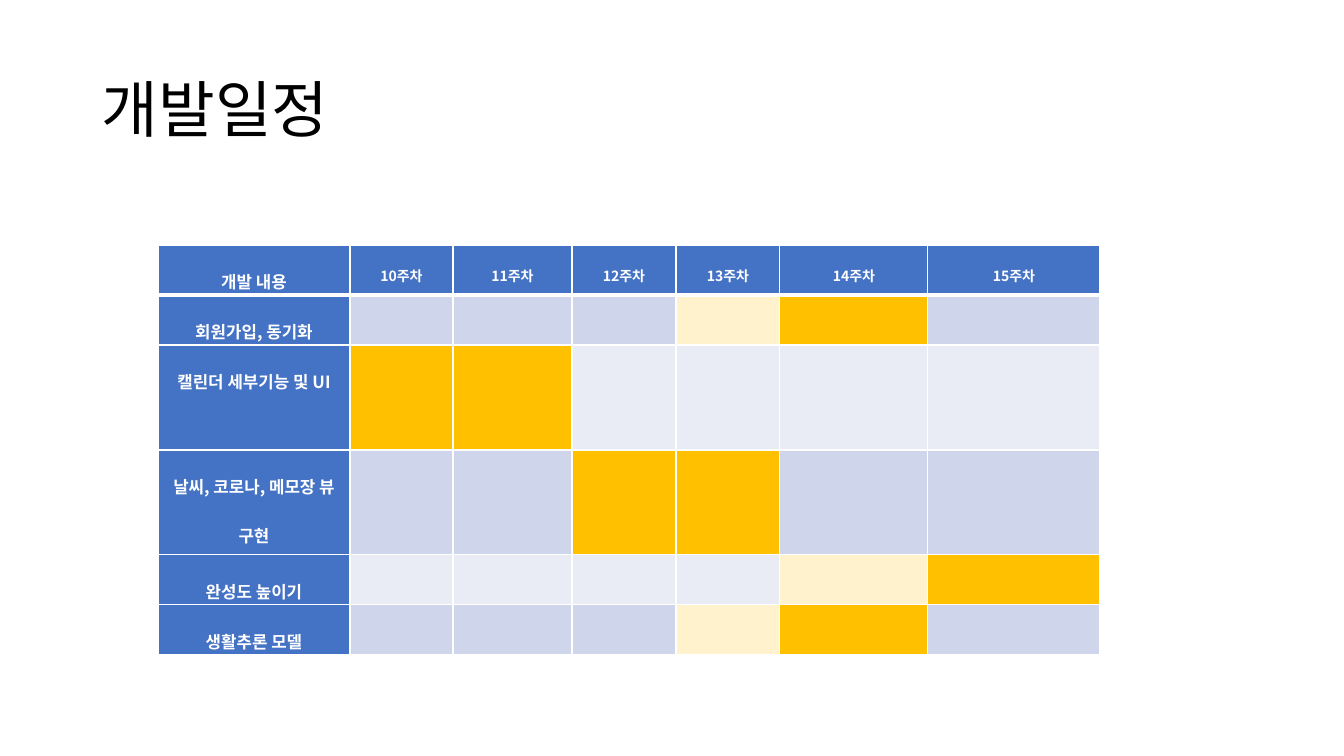
import pptx
import pptx.dml.color
import pptx.enum.text
import pptx.oxml.ns
import pptx.util
from lxml import etree

PIXEL = 914400 / 100.8
FONT = "Noto Sans CJK KR"
BLACK = pptx.dml.color.RGBColor(0x00, 0x00, 0x00)
WHITE = pptx.dml.color.RGBColor(0xFF, 0xFF, 0xFF)
BLUE = pptx.dml.color.RGBColor(0x44, 0x72, 0xC4)
BANDS = [pptx.dml.color.RGBColor(0xCF, 0xD5, 0xEA), pptx.dml.color.RGBColor(0xE9, 0xEB, 0xF5)]
PARTIAL = pptx.dml.color.RGBColor(0xFF, 0xF2, 0xCC)
ACTIVE = pptx.dml.color.RGBColor(0xFF, 0xC0, 0x00)

COLUMN_WIDTHS = [192, 103, 119, 104, 104, 148, 172]
ROW_HEIGHTS = [50, 50, 105, 105, 50, 50]
HEADER = ["개발 내용"] + [f"{week}주차" for week in range(10, 16)]
# Each task has its partial weeks and its active weeks
TASKS = [
    ("회원가입, 동기화", [13], [14]),
    ("캘린더 세부기능 및 UI", [], [10, 11]),
    ("날씨, 코로나, 메모장 뷰 구현", [], [12, 13]),
    ("완성도 높이기", [14], [15]),
    ("생활추론 모델", [13], [14]),
]


def px(length):
    """Turn pixels into EMU."""
    return pptx.util.Emu(round(length * PIXEL))


def write(frame, text, size, color, bold, spacing):
    """Put one styled paragraph into a text frame and return it."""
    para = frame.paragraphs[0]
    para.text = text
    para.line_spacing = spacing
    font = para.font
    font.name, font.size, font.bold = FONT, pptx.util.Pt(size), bold
    font.color.rgb = color
    east_asian = etree.SubElement(font._element, pptx.oxml.ns.qn("a:ea"))
    east_asian.set("typeface", FONT)
    return para


deck = pptx.Presentation()
deck.slide_width, deck.slide_height = px(1344), px(756)
page = deck.slides.add_slide(deck.slide_layouts[6])

title = page.shapes.add_textbox(px(92), px(40), px(1159), px(146))
title.text_frame.word_wrap = True
title.text_frame.vertical_anchor = pptx.enum.text.MSO_ANCHOR.MIDDLE
write(title.text_frame, "개발일정", 44, BLACK, False, 0.9)

schedule = page.shapes.add_table(
    len(ROW_HEIGHTS), len(COLUMN_WIDTHS), px(158), px(245),
    px(sum(COLUMN_WIDTHS)), px(sum(ROW_HEIGHTS))).table
for column, width in zip(schedule.columns, COLUMN_WIDTHS):
    column.width = px(width)
for row, height in zip(schedule.rows, ROW_HEIGHTS):
    row.height = px(height)

for row_index in range(len(ROW_HEIGHTS)):
    for column_index in range(len(COLUMN_WIDTHS)):
        cell = schedule.cell(row_index, column_index)
        properties = cell._tc.get_or_add_tcPr()
        for side in "LRTB":
            header_edge = (row_index, side) in [(0, "B"), (1, "T")]
            border = etree.SubElement(properties, pptx.oxml.ns.qn(f"a:ln{side}"))
            border.set("w", str(pptx.util.Pt(3 if header_edge else 1)))
            paint = etree.SubElement(border, pptx.oxml.ns.qn("a:solidFill"))
            etree.SubElement(paint, pptx.oxml.ns.qn("a:srgbClr")).set("val", str(WHITE))

        text = ""
        color = BLUE
        if row_index == 0:
            text = HEADER[column_index]
        else:
            label, partial_weeks, active_weeks = TASKS[row_index - 1]
            week = column_index + 9
            if column_index == 0:
                text = label
            elif week in active_weeks:
                color = ACTIVE
            elif week in partial_weeks:
                color = PARTIAL
            else:
                color = BANDS[(row_index - 1) % 2]
        cell.fill.solid()
        cell.fill.fore_color.rgb = color
        if text:
            cell.margin_left = cell.margin_right = px(7)
            cell.margin_top = cell.margin_bottom = 0
            size = 12 if column_index == 0 else 10
            para = write(cell.text_frame, text, size, WHITE, True, 2.0)
            para.alignment = pptx.enum.text.PP_ALIGN.CENTER

deck.save("out.pptx")
